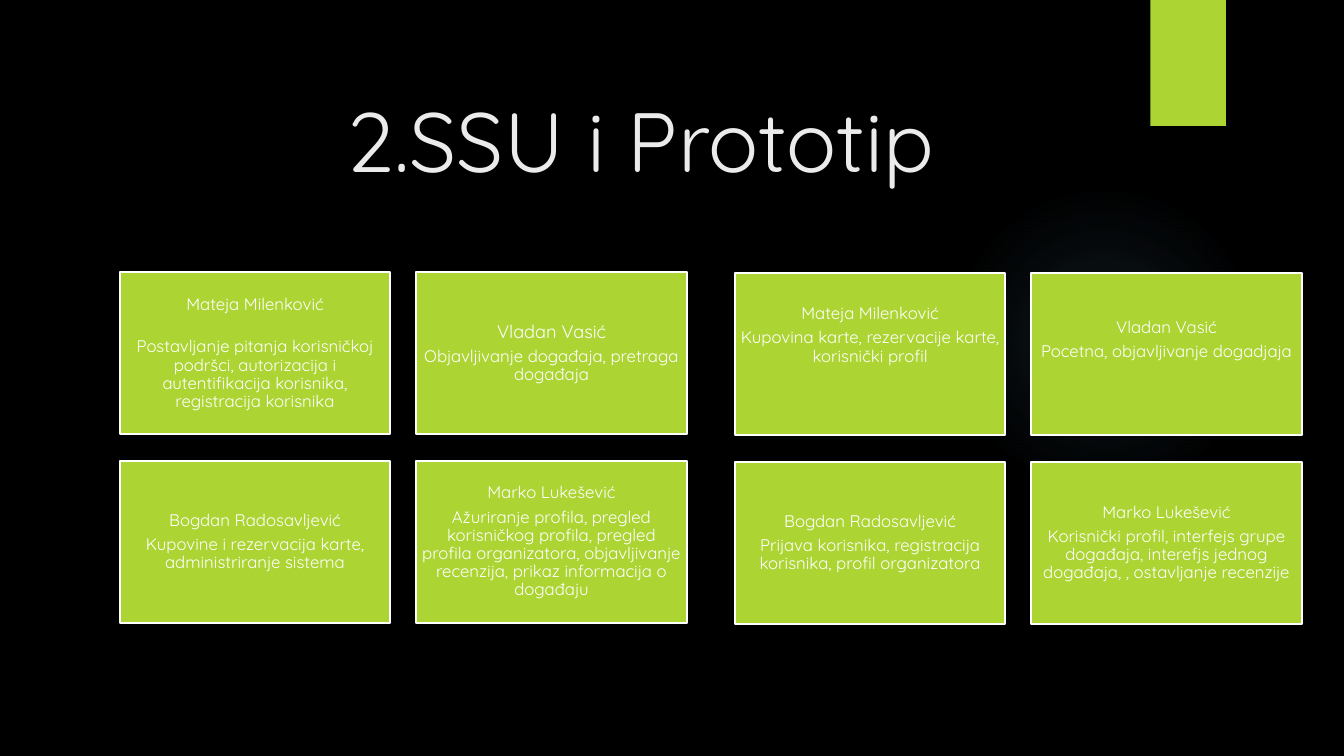
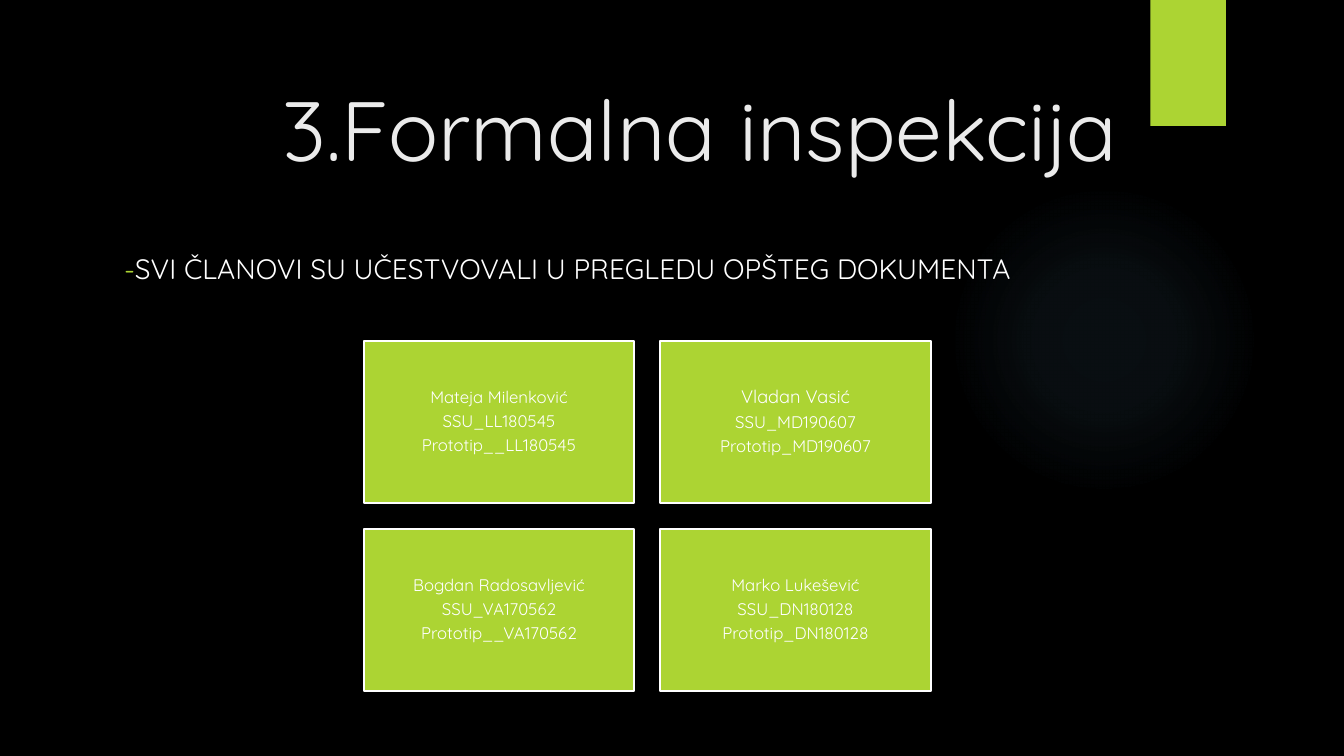
from lxml import etree
from pptx import Presentation
from pptx.dml.color import RGBColor
from pptx.enum.shapes import MSO_SHAPE
from pptx.enum.text import MSO_ANCHOR, MSO_AUTO_SIZE, PP_ALIGN
from pptx.util import Inches, Pt

RECT, OVAL = MSO_SHAPE.RECTANGLE, MSO_SHAPE.OVAL
LEFT, CENTER = PP_ALIGN.LEFT, PP_ALIGN.CENTER
TOP, MIDDLE, BOTTOM = MSO_ANCHOR.TOP, MSO_ANCHOR.MIDDLE, MSO_ANCHOR.BOTTOM
TITLE_SLIDE, TITLE_ONLY = 0, 5


class Theme:
    font = "Quicksand"
    back = RGBColor.from_string("000000")
    accent = RGBColor.from_string("ACD433")
    title = RGBColor.from_string("EBEBEB")
    text = RGBColor.from_string("FFFFFF")
    glow = "7AC4F0"
    glow_stops = [(0, 7), (36, 6), (69, 0)]  # position and opacity in percent
    title_size, subtitle_size, name_size, card_size = 60, 20, 12, 12
    card_gap = 4.2  # points after each paragraph


# Card grid, in inches
CARD_W, CARD_H, CARD_SPACE, CARD_INSET, COLUMNS = 2.68, 1.61, 0.26, 0.05, 2

# Content. A card is (name, lines, options):
# size = name size, gap = points after the name, lift = extra bottom inset
SLIDES = [
    {
        "title": "2.SSU i Prototip",
        "title_box": (1.26, 0.99, 9.65, 0.94),
        "title_indent": 0.63,
        "grids": [
            ((1.19, 2.7), [
                ("Mateja Milenković",
                 ["Postavljanje pitanja korisničkoj podršci, autorizacija i "
                  "autentifikacija korisnika, registracija korisnika"],
                 {"gap": 17.7}),
                ("Vladan Vasić",
                 ["Objavljivanje događaja, pretraga događaja"], {"size": 13}),
                ("Bogdan Radosavljević",
                 ["Kupovine i rezervacija karte, administriranje sistema"], {}),
                ("Marko Lukešević",
                 ["Ažuriranje profila, pregled korisničkog profila, pregled "
                  "profila organizatora, objavljivanje recenzija, prikaz "
                  "informacija o događaju"], {}),
            ]),
            ((7.29, 2.71), [
                ("Mateja Milenković",
                 ["Kupovina karte, rezervacije karte, korisnički profil"],
                 {"lift": 0.37}),
                ("Vladan Vasić",
                 ["Pocetna, objavljivanje dogadjaja"], {"lift": 0.29}),
                ("Bogdan Radosavljević",
                 ["Prijava korisnika, registracija korisnika, "
                  "profil organizatora"], {}),
                ("Marko Lukešević",
                 ["Korisnički profil, interfejs grupe događaja, interefjs "
                  "jednog događaja, , ostavljanje recenzije"], {}),
            ]),
        ],
    },
    {
        "title": "3.Formalna inspekcija",
        "title_box": (1.13, 1, 11.63, 0.82),
        "subtitle": ("-", "SVI ČLANOVI SU UČESTVOVALI U PREGLEDU OPŠTEG DOKUMENTA"),
        "subtitle_box": (1.13, 2.44, 10.19, 0.82),
        "grids": [
            ((3.61, 3.38), [
                ("Mateja Milenković", ["SSU_LL180545", "Prototip__LL180545"], {}),
                ("Vladan Vasić", ["SSU_MD190607", "Prototip_MD190607"],
                 {"size": 13}),
                ("Bogdan Radosavljević", ["SSU_VA170562", "Prototip__VA170562"], {}),
                ("Marko Lukešević", ["SSU_DN180128", "Prototip_DN180128"], {}),
            ]),
        ],
    },
]


def style(p, size, color, align):
    p.alignment = align
    for r in p.runs:
        r.font.name = Theme.font
        r.font.size = Pt(size)
        r.font.color.rgb = color


def place(sp, box, anchor):
    sp.left, sp.top, sp.width, sp.height = (Inches(v) for v in box)
    tf = sp.text_frame
    tf.word_wrap = True
    tf.auto_size = MSO_AUTO_SIZE.NONE
    tf.vertical_anchor = anchor
    return tf


def add_block(s, shape, box):
    sp = s.shapes.add_shape(shape, *(Inches(v) for v in box))
    sp.shadow.inherit = False
    sp.fill.solid()
    sp.fill.fore_color.rgb = Theme.accent
    sp.line.fill.background()
    return sp


def set_glow(sp):
    """Replace the fill with a transparent radial gradient."""
    sp.fill.gradient()
    grad = sp.element.spPr.find("{*}gradFill")
    stops = "".join(
        f'<a:gs pos="{pos * 1000}"><a:srgbClr val="{Theme.glow}">'
        f'<a:alpha val="{alpha * 1000}"/></a:srgbClr></a:gs>'
        for pos, alpha in Theme.glow_stops)
    new = etree.fromstring(
        '<a:gradFill xmlns:a="http://schemas.openxmlformats.org/drawingml/2006/main"'
        f' rotWithShape="1"><a:gsLst>{stops}</a:gsLst><a:path path="circle">'
        '<a:fillToRect l="50000" t="50000" r="50000" b="50000"/></a:path></a:gradFill>')
    grad.getparent().replace(grad, new)


def decorate_master(prs, s):
    """Draw the shared parts on a slide, then move them behind the master's."""
    master = prs.slide_master
    master.background.fill.solid()
    master.background.fill.fore_color.rgb = Theme.back
    glow = add_block(s, OVAL, (9.41, 1.83, 3.08, 3.08))
    set_glow(glow)
    tab = add_block(s, RECT, (11.41, 0, 0.75, 1.25))
    for i, sp in enumerate((glow, tab)):
        master.shapes.element.insert(2 + i, sp.element)


def add_card(s, left, top, name, lines, size=Theme.name_size,
             gap=Theme.card_gap, lift=0):
    sp = add_block(s, RECT, (left, top, CARD_W, CARD_H))
    sp.line.color.rgb = Theme.text
    sp.line.width = Pt(1.5)
    tf = place(sp, (left, top, CARD_W, CARD_H), MIDDLE)
    tf.margin_left = tf.margin_right = tf.margin_top = Inches(CARD_INSET)
    tf.margin_bottom = Inches(CARD_INSET + lift)
    tf.text = "\n".join([name, *lines])
    for i, p in enumerate(tf.paragraphs):
        style(p, Theme.card_size if i else size, Theme.text, CENTER)
        p.line_spacing = 0.9
        p.space_after = Pt(Theme.card_gap if i else gap)


def add_subtitle(s, parts, box):
    p = place(s.placeholders[1], box, TOP).paragraphs[0]
    for part in parts:
        p.add_run().text = part
    style(p, Theme.subtitle_size, Theme.text, LEFT)
    p.runs[0].font.color.rgb = Theme.accent
    p.space_before = Pt(10)


def add_slide(prs, data):
    layout = TITLE_SLIDE if "subtitle" in data else TITLE_ONLY
    s = prs.slides.add_slide(prs.slide_layouts[layout])
    # Title and subtitle
    tf = place(s.shapes.title, data["title_box"], BOTTOM)
    tf.margin_left = Inches(data.get("title_indent", 0.1))
    tf.text = data["title"]
    style(tf.paragraphs[0], Theme.title_size, Theme.title, CENTER)
    if "subtitle" in data:
        add_subtitle(s, data["subtitle"], data["subtitle_box"])
    # Card grids
    for (left, top), cards in data["grids"]:
        for i, (name, lines, options) in enumerate(cards):
            row, col = divmod(i, COLUMNS)
            add_card(s, left + col * (CARD_W + CARD_SPACE),
                     top + row * (CARD_H + CARD_SPACE), name, lines, **options)
    return s


def main():
    prs = Presentation()
    prs.slide_width, prs.slide_height = Inches(13.33), Inches(7.5)
    slides = [add_slide(prs, data) for data in SLIDES]
    decorate_master(prs, slides[0])
    prs.save("out.pptx")


if __name__ == "__main__":
    main()
